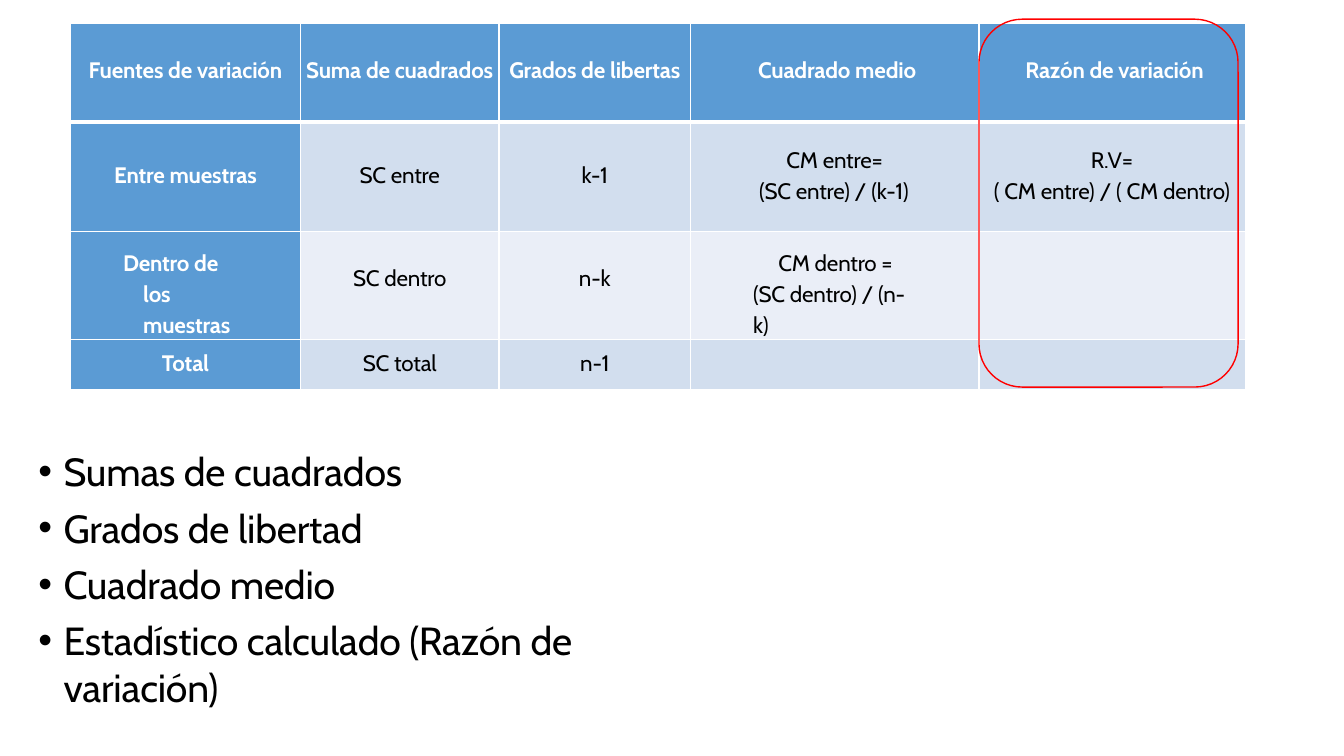
from lxml import etree
from pptx import Presentation
from pptx.dml.color import RGBColor
from pptx.enum.shapes import MSO_SHAPE
from pptx.enum.text import MSO_ANCHOR, PP_ALIGN as ALIGN
from pptx.oxml.ns import qn
from pptx.util import Inches, Pt

FONT = "Cabin"
BLACK, WHITE, RED = "000000", "FFFFFF", "FF0000"
HEADER_BLUE, BAND_DARK, BAND_LIGHT = "5B9BD4", "D2DEEE", "EAEEF7"

COLUMN_WIDTHS = [2.28, 1.97, 1.9, 2.86, 2.64]
ROW_HEIGHTS = [0.98, 1.09, 0.95, 0.5]
ROW_FILLS = [HEADER_BLUE, BAND_DARK, BAND_LIGHT, BAND_DARK]
ROW_TOPS = [0.34, 0.4, 0.33, 0.11]
TABLE_TEXT = [
    ["Fuentes de variación", "Suma de cuadrados", "Grados de libertas",
     "Cuadrado medio", "Razón de variación"],
    ["Entre muestras", "SC entre", "k-1", "CM entre=\v(SC entre) / (k-1)",
     "R.V=\n( CM entre) / ( CM dentro)"],
    ["Dentro de\vlos\vmuestras", "SC dentro", "n-k",
     "CM dentro =\v(SC dentro) / (n-k)", ""],
    ["Total", "SC total", "n-1", "", ""],
]
# Cells that depart from centred text at their row's top margin
CELL_FORMATS = {
    (0, 3): dict(left=0.67),
    (0, 4): dict(left=0.46),
    (1, 3): dict(top=0.21, left=0.68, indent=0.27, line_spacing=1.15),
    (1, 4): dict(top=0.25, space_before=2.9),
    (2, 0): dict(top=0.14, left=0.72, indent=-0.2, line_spacing=1.15),
    (2, 3): dict(top=0.14, left=0.62, right=0.64, indent=0.25,
                 line_spacing=1.15),
}
BULLETS = ["Sumas de cuadrados", "Grados de libertad", "Cuadrado medio",
           "Estadístico calculado (Razón de variación)"]


def color(hex_text):
    return RGBColor.from_string(hex_text)


def write_text(frame, text, size=16, fill=BLACK, bold=False, left=None,
               indent=0, align=None, line_spacing=1.0, space_before=0,
               bullet=None):
    """Write one paragraph per line of text."""
    for number, line in enumerate(text.split("\n")):
        paragraph = frame.paragraphs[0] if number == 0 else frame.add_paragraph()
        paragraph.text = line
        properties = paragraph._p.get_or_add_pPr()
        if left is not None:
            properties.set("marL", str(Inches(left)))
            properties.set("indent", str(Inches(indent)))
        if bullet:
            etree.SubElement(properties, qn("a:buFont"), typeface="Arial")
            etree.SubElement(properties, qn("a:buChar"), char=bullet)
            tabs = etree.SubElement(properties, qn("a:tabLst"))
            etree.SubElement(tabs, qn("a:tab"), pos=str(Inches(left)), algn="l")
        paragraph.alignment = align
        paragraph.line_spacing = line_spacing
        paragraph.space_before = Pt(space_before if number else 0)
        for run in paragraph.runs:
            run.font.name = FONT
            run.font.size = Pt(size)
            run.font.bold = bold
            run.font.color.rgb = color(fill)
            run._r.get_or_add_rPr().set("spc", "-10")


def set_borders(cell, top=1, bottom=1):
    properties = cell._tc.get_or_add_tcPr()
    for side, width in (("L", 1), ("R", 1), ("T", top), ("B", bottom)):
        line = etree.SubElement(properties, qn("a:ln" + side), w=str(Pt(width)))
        solid = etree.SubElement(line, qn("a:solidFill"))
        etree.SubElement(solid, qn("a:srgbClr"), val=WHITE)


def add_variance_table(slide, left, top, width, height):
    table = slide.shapes.add_table(
        len(ROW_HEIGHTS), len(COLUMN_WIDTHS), Inches(left), Inches(top),
        Inches(width), Inches(height)).table
    table.first_row = table.horz_banding = False
    for column, column_width in zip(table.columns, COLUMN_WIDTHS):
        column.width = Inches(column_width)
    for i, row in enumerate(table.rows):
        row.height = Inches(ROW_HEIGHTS[i])
        for j, cell in enumerate(row.cells):
            heading = i == 0 or j == 0
            options = dict(CELL_FORMATS.get((i, j), {}))
            cell.margin_left = cell.margin_bottom = 0
            cell.margin_top = Inches(options.pop("top", ROW_TOPS[i])
                                     if TABLE_TEXT[i][j] else 0)
            cell.margin_right = Inches(options.pop("right", 0))
            set_borders(cell, top=3 if i == 1 else 1, bottom=3 if i == 0 else 1)
            cell.fill.solid()
            cell.fill.fore_color.rgb = color(
                HEADER_BLUE if heading else ROW_FILLS[i])
            write_text(cell.text_frame, TABLE_TEXT[i][j], bold=heading,
                       fill=WHITE if heading else BLACK,
                       align=ALIGN.LEFT if "left" in options else ALIGN.CENTER,
                       **options)


def add_bullet_list(slide, left, top, width, height):
    body = slide.placeholders[1]
    body.left, body.top = Inches(left), Inches(top)
    body.width, body.height = Inches(width), Inches(height)
    frame = body.text_frame
    frame.word_wrap = True
    frame.vertical_anchor = MSO_ANCHOR.TOP
    frame.margin_left = frame.margin_right = frame.margin_bottom = 0
    frame.margin_top = Inches(0.11)
    write_text(frame, "\n".join(BULLETS), size=28, left=0.26, indent=-0.25,
               align=ALIGN.LEFT, space_before=6.6, bullet="•")


def add_highlight(slide, left, top, width, height, radius=0.43):
    outline = slide.shapes.add_shape(
        MSO_SHAPE.ROUNDED_RECTANGLE, Inches(left), Inches(top),
        Inches(width), Inches(height))
    outline.adjustments[0] = radius / min(width, height)
    outline.shadow.inherit = False
    outline.fill.background()
    outline.line.color.rgb = color(RED)
    outline.line.width = Pt(1)


def main():
    presentation = Presentation()
    presentation.slide_width = Inches(13.33)
    presentation.slide_height = Inches(7.5)
    slide = presentation.slides.add_slide(presentation.slide_layouts[1])

    # The slide has no title
    title = slide.shapes.title._element
    title.getparent().remove(title)

    # List, table and the outline around its last column
    add_bullet_list(slide, 0.37, 4.33, 6.81, 2.27)
    add_variance_table(slide, 0.7, 0.23, sum(COLUMN_WIDTHS), sum(ROW_HEIGHTS))
    add_highlight(slide, 9.71, 0.19, 2.57, 3.65)
    presentation.save("out.pptx")


if __name__ == "__main__":
    main()
